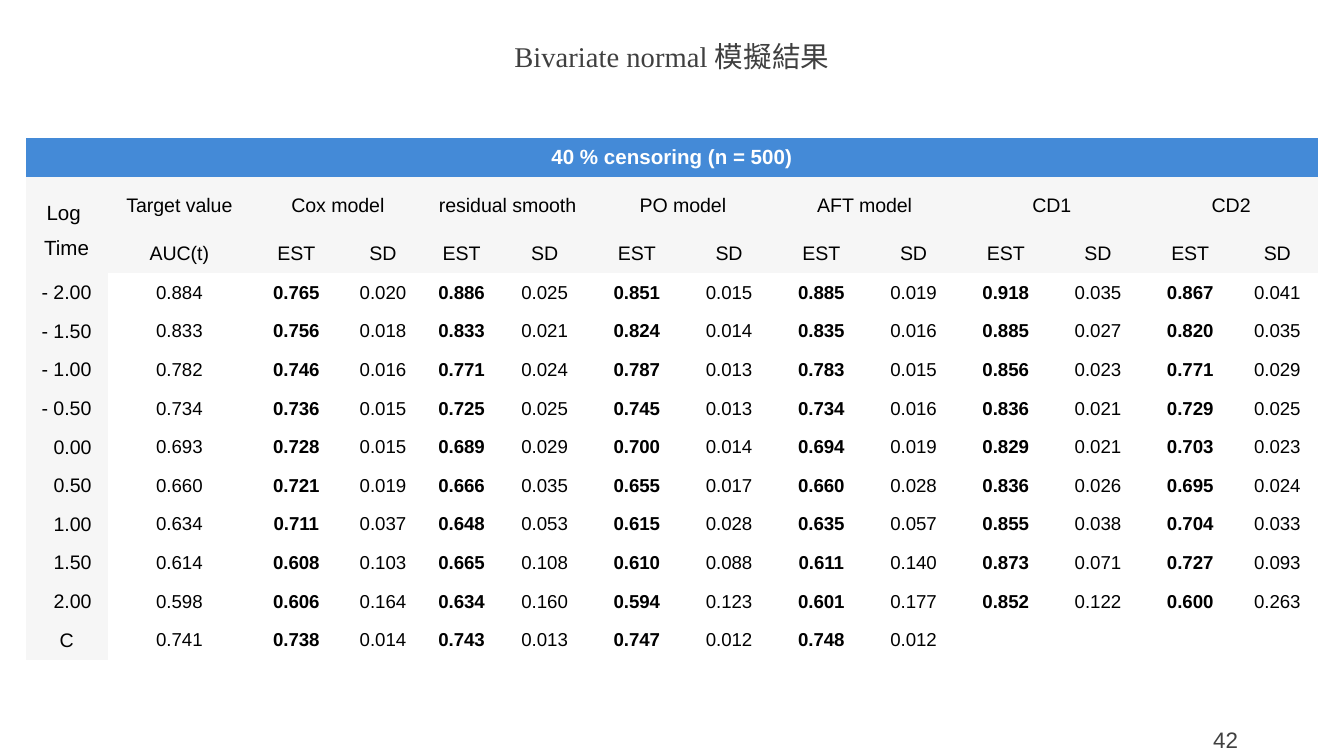
from dataclasses import dataclass

from lxml import etree
from pptx import Presentation
from pptx import util as u
from pptx.dml.color import RGBColor
from pptx.enum import text as t
from pptx.oxml.ns import qn


@dataclass(frozen=True)
class Theme:
    sans: str = "Arial"
    serif: str = "Times New Roman"
    cjk: str = "Noto Sans CJK SC"
    grey: str = "404040"
    black: str = "000000"
    white: str = "FFFFFF"
    blue: str = "448AD7"
    pale: str = "F6F6F6"
    title: float = 15.3
    page: float = 12
    band: float = 11
    head: float = 10.5
    body: float = 10


THEME = Theme()
PLAIN = "{2D5ABB26-0587-4C30-8999-92F81FD0307C}"
MID, RIGHT = t.PP_ALIGN.CENTER, t.PP_ALIGN.RIGHT

BAND = "40 % censoring (n = 500)"
MODELS = ["Cox model", "residual smooth", "PO model", "AFT model ", "CD1", "CD2"]
WIDE, HIGH, TALL = 9.62, 3.88, 0.43
FIRST, LAST = [0.61, 1.07, 0.67, 0.62, 0.55], 0.61
EVEN = (WIDE - sum(FIRST) - LAST) / 8
WIDTHS = FIRST + [EVEN] * 8 + [LAST]
DATA = [
    ("- 2.00", "0.884 0.765 0.020 0.886 0.025 0.851 0.015 0.885 0.019 0.918 0.035 0.867 0.041"),
    ("- 1.50", "0.833 0.756 0.018 0.833 0.021 0.824 0.014 0.835 0.016 0.885 0.027 0.820 0.035"),
    ("- 1.00", "0.782 0.746 0.016 0.771 0.024 0.787 0.013 0.783 0.015 0.856 0.023 0.771 0.029"),
    ("- 0.50", "0.734 0.736 0.015 0.725 0.025 0.745 0.013 0.734 0.016 0.836 0.021 0.729 0.025"),
    ("0.00", "0.693 0.728 0.015 0.689 0.029 0.700 0.014 0.694 0.019 0.829 0.021 0.703 0.023"),
    ("0.50", "0.660 0.721 0.019 0.666 0.035 0.655 0.017 0.660 0.028 0.836 0.026 0.695 0.024"),
    ("1.00", "0.634 0.711 0.037 0.648 0.053 0.615 0.028 0.635 0.057 0.855 0.038 0.704 0.033"),
    ("1.50", "0.614 0.608 0.103 0.665 0.108 0.610 0.088 0.611 0.140 0.873 0.071 0.727 0.093"),
    ("2.00", "0.598 0.606 0.164 0.634 0.160 0.594 0.123 0.601 0.177 0.852 0.122 0.600 0.263"),
    ("C", "0.741 0.738 0.014 0.743 0.013 0.747 0.012 0.748 0.012"),
]


def write(para, words, size=THEME.body, color=THEME.black, face=THEME.sans,
          bold=False, align=MID, lead=None):
    para.alignment = align
    if lead:
        para.line_spacing = lead
    if not words:
        end = etree.SubElement(para._p, qn("a:endParaRPr"))
        end.set("sz", str(int(size * 100)))
        return
    run = para.add_run()
    run.text = words
    font = run.font
    font.size, font.bold, font.name = u.Pt(size), bold, face
    font.color.rgb = RGBColor.from_string(color)
    if face == THEME.cjk:
        east = etree.SubElement(run._r.get_or_add_rPr(), qn("a:ea"))
        east.set("typeface", face)


class Deck:
    def __init__(self, theme):
        self.theme = theme
        self.show = Presentation()
        self.show.slide_width = u.Inches(10)
        self.show.slide_height = u.Inches(10 * 9 / 16)
        self.slide = self.show.slides.add_slide(self.show.slide_layouts[6])

    def label(self, box, runs, **form):
        frame = self.slide.shapes.add_textbox(*map(u.Inches, box)).text_frame
        frame.word_wrap = True
        frame.vertical_anchor = t.MSO_ANCHOR.MIDDLE
        for words, face in runs:
            write(frame.paragraphs[0], words, face=face, **form)

    def grid(self, box, widths, heights):
        frame = self.slide.shapes.add_table(
            len(heights), len(widths), *map(u.Inches, box))
        table = frame.table
        table.first_row = table.horz_banding = False
        table._tbl.tblPr.find(qn("a:tableStyleId")).text = PLAIN
        for col, width in zip(table.columns, widths):
            col.width = u.Inches(width)
        for row, height in zip(table.rows, heights):
            row.height = u.Inches(height)
        return table

    def cell(self, table, row, col, words, fill, span=(1, 1), pad=0.05, **form):
        cell = table.cell(row, col)
        if span != (1, 1):
            cell.merge(table.cell(row + span[0] - 1, col + span[1] - 1))
        cell.margin_left, cell.margin_right = u.Inches(0.05), u.Inches(pad)
        cell.margin_top = cell.margin_bottom = u.Inches(0.03)
        cell.vertical_anchor = t.MSO_ANCHOR.MIDDLE
        cell.fill.solid()
        cell.fill.fore_color.rgb = RGBColor.from_string(fill)
        frame = cell.text_frame
        for i, line in enumerate(words.split("\n")):
            para = frame.add_paragraph() if i else frame.paragraphs[0]
            write(para, line, **form)

    def results(self):
        th = self.theme
        step = (HIGH - TALL) / (len(DATA) + 2)
        heights = [step, TALL] + [step] * (len(DATA) + 1)
        table = self.grid((0.19, 1.03, WIDE, HIGH), WIDTHS, heights)
        self.cell(table, 0, 0, BAND, th.blue, span=(1, len(WIDTHS)),
                  size=th.band, color=th.white, bold=True)
        self.cell(table, 1, 0, "Log \nTime", th.pale, span=(2, 1),
                  size=th.band, lead=1.5)
        self.cell(table, 1, 1, "Target value", th.pale, size=th.head)
        self.cell(table, 2, 1, "AUC(t)", th.pale, size=th.head)
        for i, model in enumerate(MODELS):
            col = 2 + 2 * i
            self.cell(table, 1, col, model, th.pale, span=(1, 2), size=th.head)
            for j, name in enumerate(("EST", "SD")):
                self.cell(table, 2, col + j, name, th.pale, size=th.head)
        for row, (time, line) in enumerate(DATA, 3):
            form = {} if time == "C" else {"align": RIGHT, "pad": 0.12}
            self.cell(table, row, 0, time, th.pale, size=th.head, **form)
            vals = line.split()
            vals += [""] * (len(WIDTHS) - 1 - len(vals))
            for col, val in enumerate(vals, 1):
                self.cell(table, row, col, val, th.white,
                          bold=col > 1 and col % 2 == 0)


def main():
    deck = Deck(THEME)
    deck.label((0, 0.26, 10, 0.31),
               [("Bivariate normal ", THEME.serif), ("模擬結果", THEME.cjk)],
               size=THEME.title, color=THEME.grey)
    deck.label((7.06, 5.35, 2.25, 0.3), [("42", THEME.sans)],
               size=THEME.page, color=THEME.grey, align=RIGHT)
    deck.results()
    deck.show.save("out.pptx")


if __name__ == "__main__":
    main()
